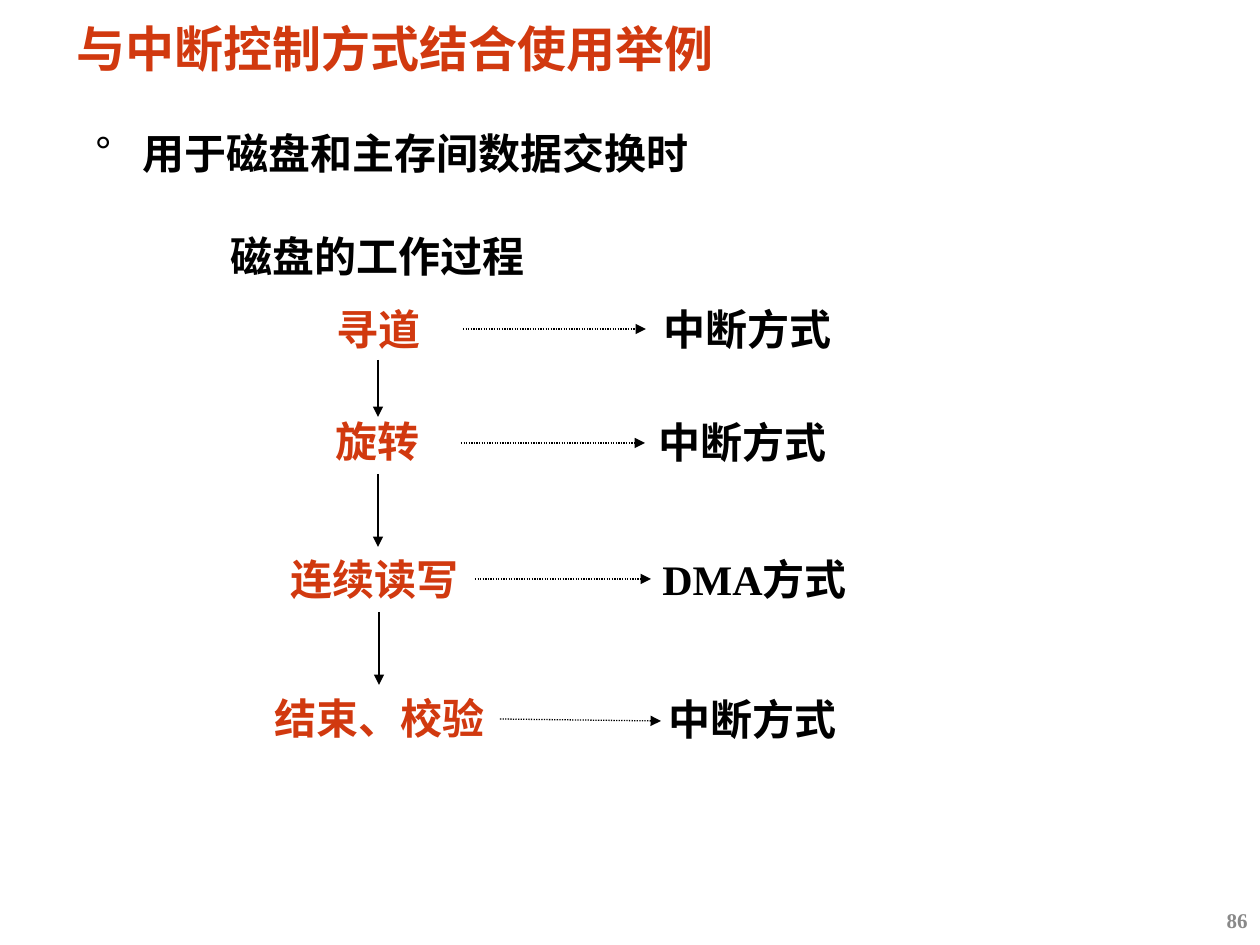
"""Build a slide pairing each disk work step with its control mode."""
from lxml import etree
from pptx import Presentation
from pptx.dml.color import RGBColor
from pptx.enum.dml import MSO_LINE
from pptx.enum.shapes import MSO_CONNECTOR
from pptx.enum.text import MSO_ANCHOR, PP_ALIGN
from pptx.oxml.ns import qn
from pptx.util import Pt

STRAIGHT = MSO_CONNECTOR.STRAIGHT
DOTTED = MSO_LINE.ROUND_DOT
TOP, MIDDLE = MSO_ANCHOR.TOP, MSO_ANCHOR.MIDDLE
LEFT, RIGHT = PP_ALIGN.LEFT, PP_ALIGN.RIGHT
RED = RGBColor(0xD1, 0x39, 0x0F)
BLACK = RGBColor(0, 0, 0)
GRAY = RGBColor(0x89, 0x89, 0x89)
SANS, SERIF = "Arial", "Times New Roman"
EMU_PER_PX = 914400 / 126
STEP_WIDTH, MODE_WIDTH, LABEL_HEIGHT = 243, 227, 63

TITLE = "与中断控制方式结合使用举例"
BULLET = "用于磁盘和主存间数据交换时"
HEADING = "磁盘的工作过程"
PAGE_NUMBER = "86"
STEPS = [
    ("寻道", 324, 297, "中断方式", 651, 297),
    ("旋转", 323, 409, "中断方式", 646, 410),
    ("连续读写", 278, 547, "DMA方式", 650, 547),
    ("结束、校验", 262, 686, "中断方式", 656, 687),
]
DOWN_ARROWS = [(378, 360, 417), (378, 474, 547), (379, 612, 685)]
MODE_ARROWS = [
    (463, 329, 646, 329),
    (461, 443, 645, 443),
    (475, 579, 651, 579),
    (500, 719, 661, 721),
]


def px(value):
    return round(value * EMU_PER_PX)


def place(shape, left, top, width, height):
    shape.left, shape.top = px(left), px(top)
    shape.width, shape.height = px(width), px(height)


def set_tight_margins(frame):
    frame.margin_left = frame.margin_right = px(9)
    frame.margin_top = frame.margin_bottom = px(4)


def style(paragraph, size, font_name, color, align=LEFT):
    paragraph.alignment = align
    font = paragraph.font
    font.size, font.name, font.bold = Pt(size), font_name, True
    font.color.rgb = color


def add_text(slide, text, box, color=BLACK, size=24, align=LEFT, anchor=TOP):
    frame = slide.shapes.add_textbox(*map(px, box)).text_frame
    frame.word_wrap = True
    frame.vertical_anchor = anchor
    frame.text = text
    style(frame.paragraphs[0], size, SERIF, color, align)


def add_title(slide):
    title = slide.shapes.title
    place(title, 68, 23, 751, 58)
    frame = title.text_frame
    set_tight_margins(frame)
    frame.vertical_anchor = TOP
    frame.text = TITLE
    paragraph = frame.paragraphs[0]
    paragraph.line_spacing = 0.87
    style(paragraph, 28, SANS, RED)


def add_bullet(slide):
    frame = slide.shapes.add_textbox(*map(px, (86, 113, 791, 62))).text_frame
    frame.word_wrap = True
    set_tight_margins(frame)
    frame.text = BULLET
    paragraph = frame.paragraphs[0]
    paragraph.line_spacing = 1.2
    properties = paragraph._p.get_or_add_pPr()
    properties.set("marL", str(px(48)))
    properties.set("indent", str(-px(48)))
    etree.SubElement(properties, qn("a:buFont"), typeface=SANS)
    etree.SubElement(properties, qn("a:buChar"), char="°")
    style(paragraph, 24, SANS, BLACK)


def add_arrow(slide, start_x, start_y, end_x, end_y, dash=None):
    points = map(px, (start_x, start_y, end_x, end_y))
    arrow = slide.shapes.add_connector(STRAIGHT, *points)
    arrow.line.color.rgb = BLACK
    arrow.line.width = Pt(0.75)
    if dash:
        arrow.line.dash_style = dash
    etree.SubElement(arrow.line._get_or_add_ln(), qn("a:tailEnd"), type="triangle")
    etree.SubElement(arrow._element.spPr, qn("a:effectLst"))


def main():
    presentation = Presentation()
    presentation.slide_width, presentation.slide_height = px(1260), px(945)
    slide = presentation.slides.add_slide(presentation.slide_layouts[5])
    add_title(slide)
    add_bullet(slide)
    add_text(slide, HEADING, (218, 224, 349, LABEL_HEIGHT))
    for step, step_left, step_top, mode, mode_left, mode_top in STEPS:
        add_text(slide, step, (step_left, step_top, STEP_WIDTH, LABEL_HEIGHT), RED)
        add_text(slide, mode, (mode_left, mode_top, MODE_WIDTH, LABEL_HEIGHT))
    for center, top, bottom in DOWN_ARROWS:
        add_arrow(slide, center, top, center, bottom)
    for ends in MODE_ARROWS:
        add_arrow(slide, *ends, dash=DOTTED)
    add_text(slide, PAGE_NUMBER, (976, 895, 284, 50), GRAY, 12, RIGHT, MIDDLE)
    presentation.save("out.pptx")


if __name__ == "__main__":
    main()
